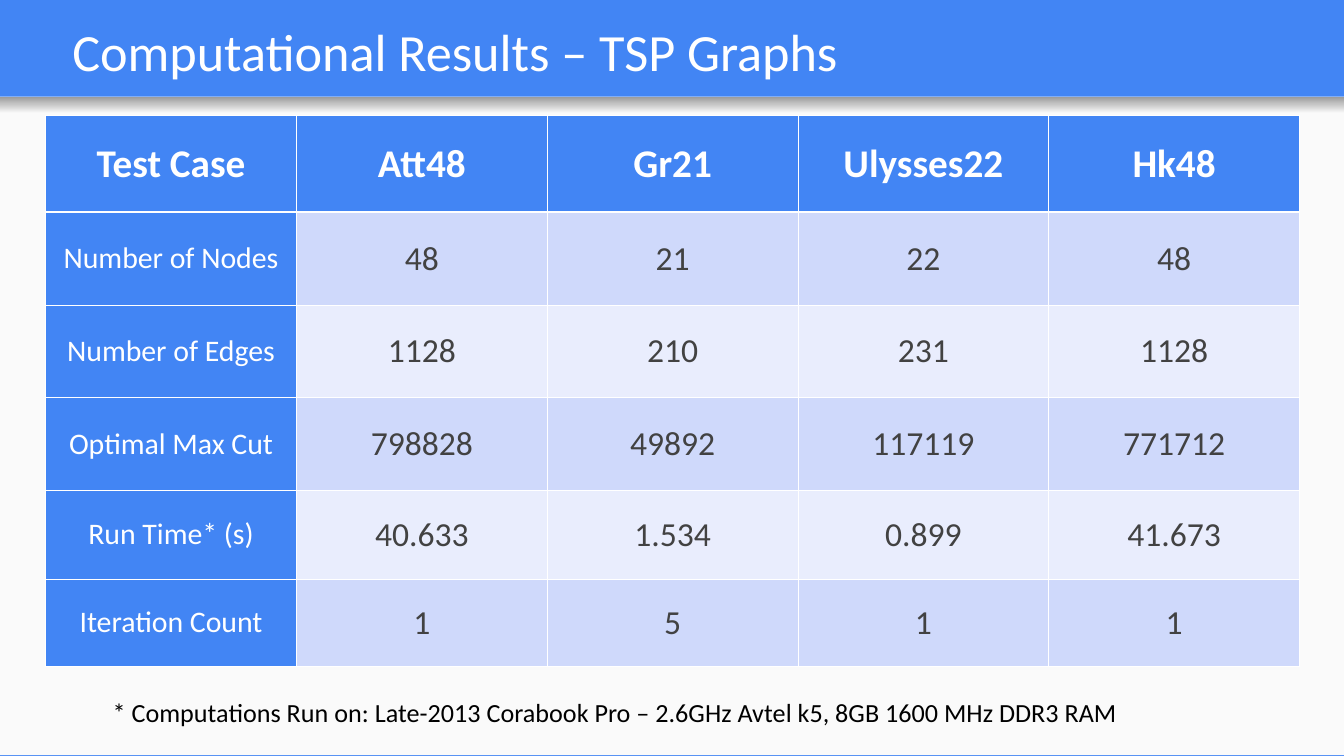
from pptx import Presentation
from pptx.dml.color import RGBColor as Rgb
from pptx.enum.shapes import MSO_SHAPE as Kind
from pptx.enum.text import MSO_ANCHOR as Anchor, PP_ALIGN as Align
from pptx.oxml import parse_xml as to_xml
from pptx.oxml.ns import nsdecls as names
from pptx.util import Inches, Pt

BLUE = Rgb(0x42, 0x85, 0xF4)
WHITE = Rgb(0xFF, 0xFF, 0xFF)
BLACK = Rgb(0x00, 0x00, 0x00)
PAPER = Rgb(0xFA, 0xFA, 0xFA)
SHADE = Rgb(0x99, 0x99, 0x99)
FADE = Rgb(0xF9, 0xF9, 0xF9)
INK = Rgb(0x42, 0x42, 0x42)
BANDS = (Rgb(0xE9, 0xED, 0xFD), Rgb(0xCF, 0xD9, 0xFB))

ROWS = (
    ("Test Case", "Att48", "Gr21", "Ulysses22", "Hk48"),
    ("Number of Nodes", "48", "21", "22", "48"),
    ("Number of Edges", "1128", "210", "231", "1128"),
    ("Optimal Max Cut", "798828", "49892", "117119", "771712"),
    ("Run Time* (s)", "40.633", "1.534", "0.899", "41.673"),
    ("Iteration Count", "1", "5", "1", "1"),
)
HEIGHTS = (0.72, 0.69, 0.69, 0.69, 0.66, 0.65)
THIN, THICK = 0.45, 1.47


def add_run(frame, text, size, color, bold=False):
    """Add one styled run to the first paragraph of a frame."""
    run = frame.paragraphs[0].add_run()
    run.text = text
    font = run.font
    font.name, font.size, font.bold = "Calibri", Pt(size), bold
    font.color.rgb = color


def add_rect(slide, top, height):
    """Add a plain rectangle as wide as the slide and return its fill."""
    rect = slide.shapes.add_shape(Kind.RECTANGLE, 0, Inches(top), Inches(10), Inches(height))
    rect.shadow.inherit = False
    rect.line.fill.background()
    return rect.fill


def add_label(slide, place, text, size, color, inset, anchor):
    """Add a text box with one run."""
    frame = slide.shapes.add_textbox(*map(Inches, place)).text_frame
    frame.word_wrap = True
    frame.vertical_anchor = anchor
    frame.margin_top = frame.margin_bottom = Inches(inset)
    add_run(frame, text, size, color)


def add_edges(cell, top, base):
    """Draw the four white borders of a cell."""
    props = cell._tc.get_or_add_tcPr()
    for spot, (side, width) in enumerate(zip("LRTB", (THIN, THIN, top, base))):
        props.insert(spot, to_xml(
            f'<a:ln{side} {names("a")} w="{Pt(width)}"><a:solidFill>'
            f'<a:srgbClr val="{WHITE}"/></a:solidFill></a:ln{side}>'))


def fill_cell(cell, text, row, col):
    """Style a cell by its place in the grid and write its text."""
    cell.fill.solid()
    cell.fill.fore_color.rgb = BLUE if row == 0 or col == 0 else BANDS[row % 2]
    cell.vertical_anchor = Anchor.MIDDLE
    cell.text_frame.paragraphs[0].alignment = Align.CENTER
    if row == 0:
        add_run(cell.text_frame, text, 21, WHITE, True)
    elif col == 0:
        add_run(cell.text_frame, text, 16, WHITE)
    else:
        add_run(cell.text_frame, text, 18, INK)
    add_edges(cell, THICK if row == 1 else THIN, THICK if row == 0 else THIN)


def add_grid(slide):
    """Add the table of results."""
    place = map(Inches, (0.34, 0.86, 9.33, sum(HEIGHTS)))
    table = slide.shapes.add_table(len(ROWS), len(ROWS[0]), *place).table
    for row, (texts, height) in enumerate(zip(ROWS, HEIGHTS)):
        table.rows[row].height = Inches(height)
        for col, text in enumerate(texts):
            fill_cell(table.cell(row, col), text, row, col)


def main():
    """Build the slide and save it."""
    deck = Presentation()
    deck.slide_width = Inches(10)
    deck.slide_height = deck.slide_width * 9 // 16
    slide = deck.slides.add_slide(deck.slide_layouts[6])
    back = slide.background.fill
    back.solid()
    back.fore_color.rgb = BLUE

    panel = add_rect(slide, 0.72, 4.9)
    panel.solid()
    panel.fore_color.rgb = PAPER
    strip = add_rect(slide, 0.72, 0.12)
    strip.gradient()
    strip.gradient_angle = 270
    for stop, color in zip(strip.gradient_stops, (SHADE, FADE)):
        stop.color.rgb = color

    add_label(slide, (0.44, 0, 8.82, 0.71), "Computational Results – TSP Graphs",
              28, WHITE, 0.1, Anchor.BOTTOM)
    add_label(slide, (0.74, 5.13, 8.63, 0.34),
              "* Computations Run on: Late-2013 Corabook Pro – 2.6GHz Avtel k5, "
              "8GB 1600 MHz DDR3 RAM", 14, BLACK, 0.05, Anchor.TOP)
    add_grid(slide)
    deck.save("out.pptx")


if __name__ == "__main__":
    main()
